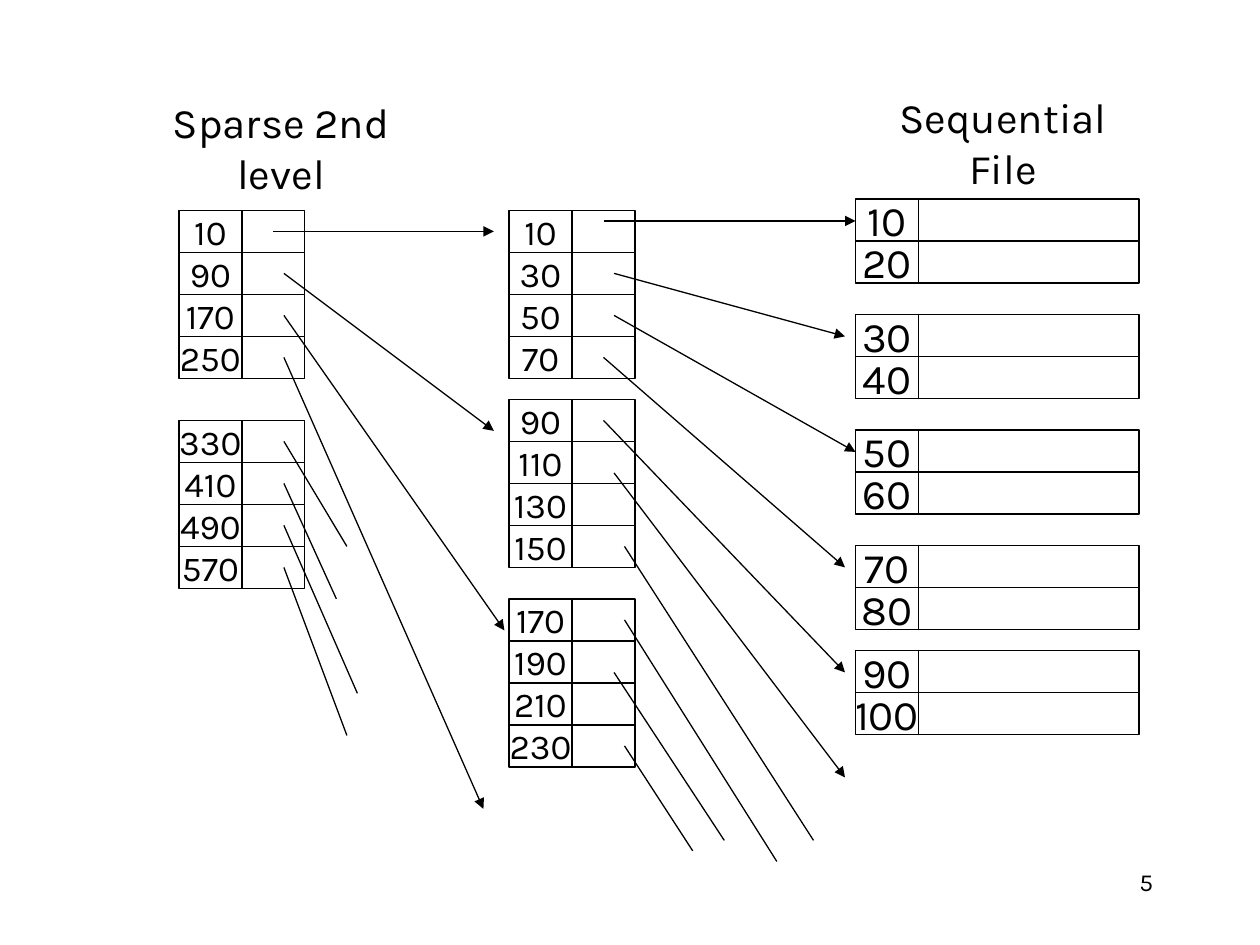
from dataclasses import dataclass

from lxml import etree
from pptx import Presentation
from pptx.dml.color import RGBColor
from pptx.enum.shapes import MSO_CONNECTOR, MSO_SHAPE
from pptx.enum.text import MSO_ANCHOR, PP_ALIGN
from pptx.oxml.ns import qn
from pptx.util import Inches, Pt

RECT = MSO_SHAPE.RECTANGLE
STRAIGHT = MSO_CONNECTOR.STRAIGHT
TOP, MIDDLE = MSO_ANCHOR.TOP, MSO_ANCHOR.MIDDLE
CENTER, RIGHT = PP_ALIGN.CENTER, PP_ALIGN.RIGHT


@dataclass(frozen=True)
class Theme:
    font: str = "Karla"
    ink: RGBColor = RGBColor(0, 0, 0)
    paper: RGBColor = RGBColor(255, 255, 255)
    line: Pt = Pt(0.75)
    title: Pt = Pt(24)
    data: Pt = Pt(24)
    index: Pt = Pt(20)
    page: Pt = Pt(14)


THEME = Theme()
ROW = 4  # row height in grid steps
KEY = 6  # key width in grid steps

# Pointers, in grid steps from the corner of their index: x1, y1, x2, y2
OUTER_ARROWS = [(9, 2, 30, 2), (10, 6, 30, 21), (10, 10, 31, 40), (10, 14, 29, 57)]
OUTER_STUBS = [(10, 22, 16, 32), (10, 26, 15, 37), (10, 30, 17, 46), (10, 34, 16, 50)]
INNER_ARROWS = [(9, 1, 33, 1), (10, 6, 32, 12), (10, 10, 33, 23),
                (9, 14, 32, 34), (9, 20, 32, 44), (10, 25, 32, 54)]
INNER_STUBS = [(11, 32, 29, 60), (11, 39, 25.5, 62),
               (10, 44, 20.5, 60), (11, 51, 17.5, 61)]


def grid(steps):
    """Length of a number of grid steps, twelve to the inch."""
    return Inches(steps / 12)


def write(frame, text, size, align=CENTER, anchor=MIDDLE, wrap=True):
    frame.word_wrap = wrap
    frame.vertical_anchor = anchor
    para = frame.paragraphs[0]
    para.text = text
    para.alignment = align
    para.font.name = THEME.font
    para.font.size = size
    para.font.color.rgb = THEME.ink


def label(slide, box, text, size, **style):
    shape = slide.shapes.add_textbox(*map(Inches, box))
    write(shape.text_frame, text, size, **style)


def cell(group, x, y, width, text="", size=None):
    shape = group.shapes.add_shape(RECT, x, y, grid(width), grid(ROW))
    shape.shadow.inherit = False
    shape.fill.solid()
    shape.fill.fore_color.rgb = THEME.paper
    shape.line.color.rgb = THEME.ink
    shape.line.width = THEME.line
    if text:
        write(shape.text_frame, text, size, wrap=False)


def block(slide, x, y, keys, width, size):
    """Group rows of a key cell and an empty cell of the given width."""
    group = slide.shapes.add_group_shape()
    for row, key in enumerate(keys):
        top = y + grid(row * ROW)
        cell(group, x, top, KEY, str(key), size)
        cell(group, x + grid(KEY), top, width)


def column(slide, x, y, keys, tops, width, size):
    """Share the keys out evenly among blocks at the given tops."""
    count = len(keys) // len(tops)
    for number, top in enumerate(tops):
        part = keys[number * count:(number + 1) * count]
        block(slide, x, y + grid(top), part, width, size)


def links(slide, x, y, ends, arrow):
    for x1, y1, x2, y2 in ends:
        link = slide.shapes.add_connector(
            STRAIGHT, x + grid(x1), y + grid(y1), x + grid(x2), y + grid(y2))
        link.line.color.rgb = THEME.ink
        link.line.width = THEME.line
        if arrow:
            tail = etree.SubElement(link.line._get_or_add_ln(), qn("a:tailEnd"))
            tail.set("type", "triangle")
        etree.SubElement(link._element.spPr, qn("a:effectLst"))


def index(slide, x, y, keys, tops, arrows, stubs):
    column(slide, x, y, keys, tops, KEY, THEME.index)
    links(slide, x, y, arrows, True)
    links(slide, x, y, stubs, False)


def main():
    deck = Presentation()
    deck.slide_width, deck.slide_height = Inches(10), Inches(7.5)
    slide = deck.slides.add_slide(deck.slide_layouts[6])

    label(slide, (7.17, 6.83, 2.08, 0.5), "5", THEME.page, align=RIGHT, anchor=TOP)
    label(slide, (6.79, 0.88, 2.34, 0.5), "Sequential File", THEME.title)
    label(slide, (0.92, 0.92, 2.62, 0.5), "Sparse 2nd level", THEME.title)

    column(slide, Inches(6.79), Inches(1.58), range(10, 101, 10),
           (0, 11, 22, 33, 43), 21, THEME.data)
    index(slide, Inches(4.04), Inches(1.67), range(10, 231, 20),
          (0, 18, 37), INNER_ARROWS, INNER_STUBS)
    index(slide, Inches(1.42), Inches(1.67), range(10, 571, 80),
          (0, 20), OUTER_ARROWS, OUTER_STUBS)
    deck.save("out.pptx")


if __name__ == "__main__":
    main()
